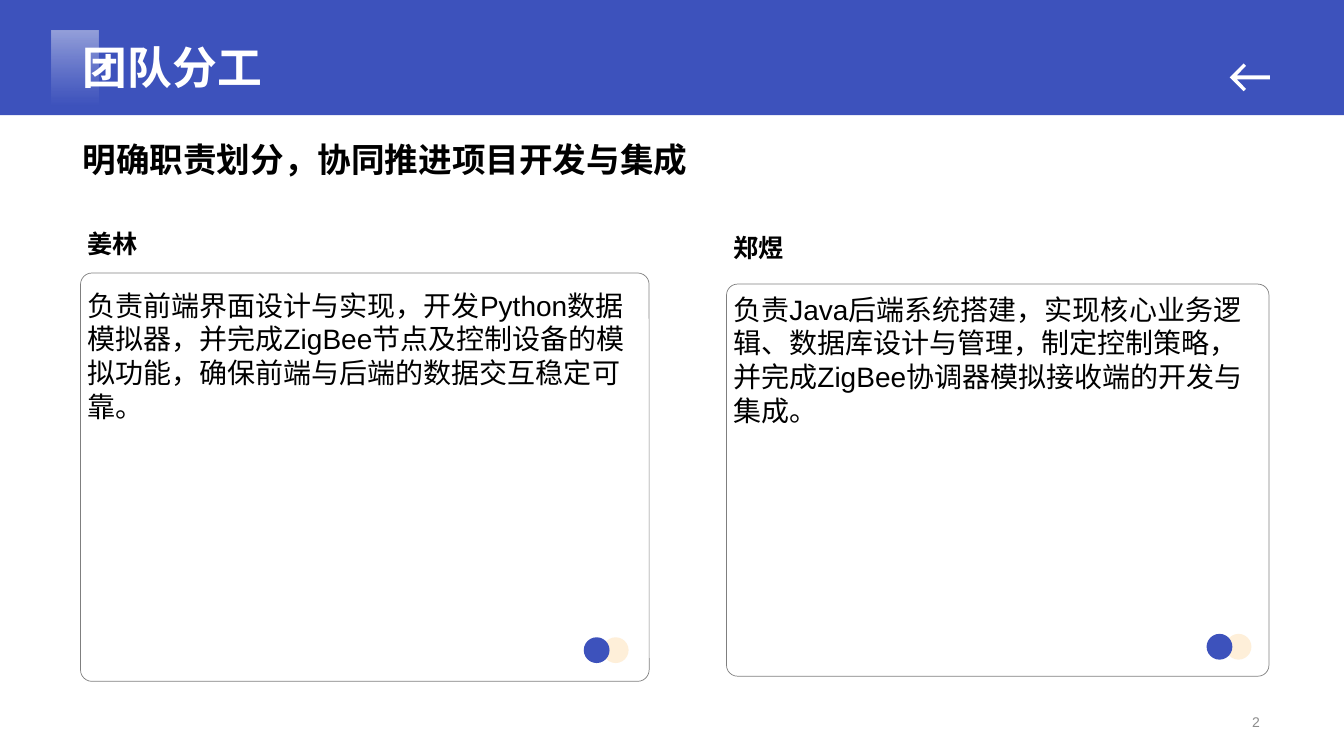
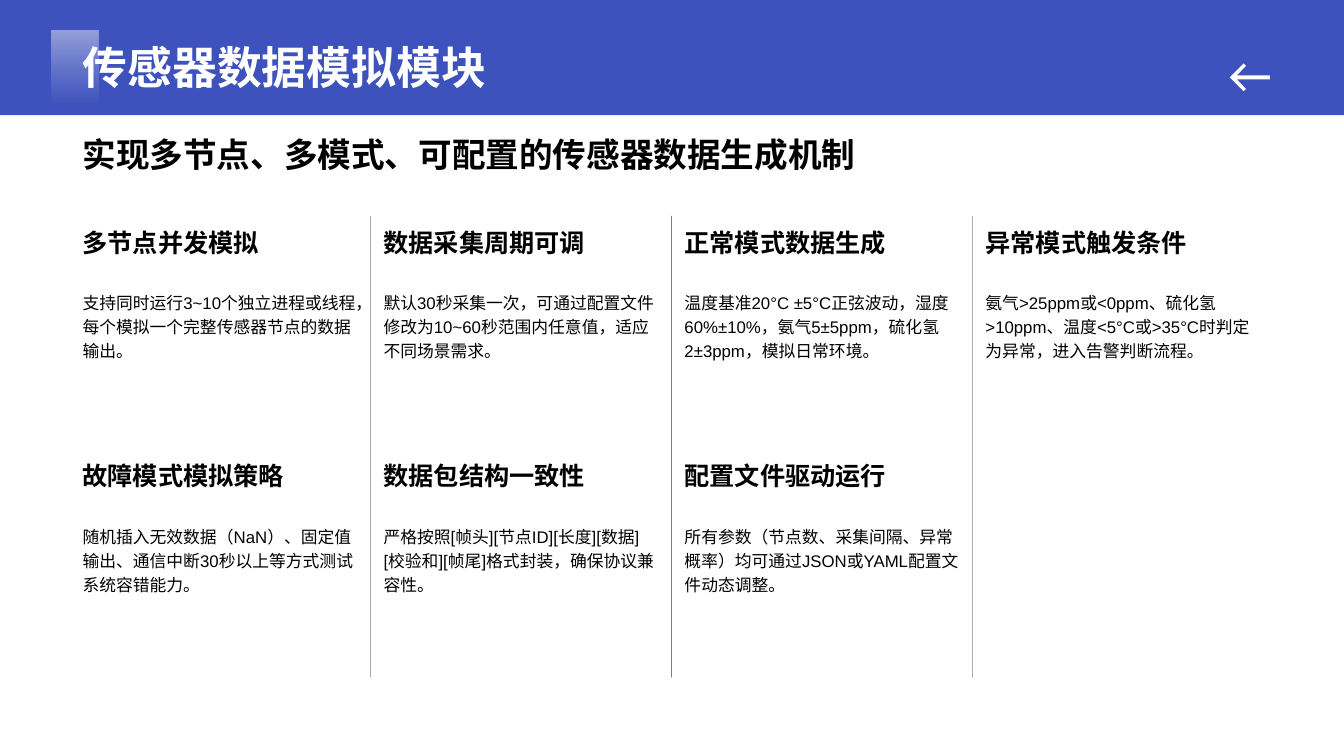
from lxml import etree
from pptx import Presentation
from pptx import util as u
from pptx.dml.color import RGBColor
from pptx.enum import shapes, text
from pptx.oxml import ns

BLUE, ORANGE, BLACK, WHITE, GREY = "3D52BC", "FC9702", "000000", "FFFFFF", "8C8C8C"
FONT = "Arial"
WIDE, HIGH = 33.87, 19.05
LEFT, FULL = 1.83, 30.18
KIND = shapes.MSO_SHAPE
MID, END, TOP = text.MSO_ANCHOR.MIDDLE, text.MSO_ANCHOR.BOTTOM, text.MSO_ANCHOR.TOP

TEAM = [
    # box (left, top, width, height), top of the name, name, duty
    ((2.03, 6.88, 14.33, 10.29), 5.64, "姜林",
     "负责前端界面设计与实现，开发Python数据模拟器，并完成ZigBee节点及控制设备的模拟功能，确保前端与后端的数据交互稳定可靠。"),
    ((18.31, 7.16, 13.67, 9.88), 5.74, "郑煜",
     "负责Java后端系统搭建，实现核心业务逻辑、数据库设计与管理，制定控制策略，并完成ZigBee协调器模拟接收端的开发与集成。"),
]
TOPICS = [
    ("多节点并发模拟", "支持同时运行3~10个独立进程或线程，每个模拟一个完整传感器节点的数据输出。"),
    ("数据采集周期可调", "默认30秒采集一次，可通过配置文件修改为10~60秒范围内任意值，适应不同场景需求。"),
    ("正常模式数据生成", "温度基准20°C ±5°C正弦波动，湿度60%±10%，氨气5±5ppm，硫化氢2±3ppm，模拟日常环境。"),
    ("异常模式触发条件", "氨气>25ppm或<0ppm、硫化氢>10ppm、温度<5°C或>35°C时判定为异常，进入告警判断流程。"),
    ("故障模式模拟策略", "随机插入无效数据（NaN）、固定值输出、通信中断30秒以上等方式测试系统容错能力。"),
    ("数据包结构一致性", "严格按照[帧头][节点ID][长度][数据][校验和][帧尾]格式封装，确保协议兼容性。"),
    ("配置文件驱动运行", "所有参数（节点数、采集间隔、异常概率）均可通过JSON或YAML配置文件动态调整。"),
]


def rgb(code):
    return RGBColor.from_string(code)


def cm(box):
    return [u.Cm(n) for n in box]


def fade(shape, *parts):
    """Give the shape's colours, in order, these opacities in percent."""
    for clr, part in zip(shape._element.spPr.xpath(".//a:srgbClr"), parts):
        etree.SubElement(clr, ns.qn("a:alpha"), val=str(part * 1000))


def fill_plain(shape, color):
    shape.shadow.inherit = False
    shape.line.fill.background()
    shape.fill.solid()
    shape.fill.fore_color.rgb = rgb(color)
    return shape


def add_plain(slide, kind, box, color):
    return fill_plain(slide.shapes.add_shape(kind, *cm(box)), color)


def thin_line(shape):
    shape.line.color.rgb = rgb(BLACK)
    shape.line.width = u.Pt(0.5)
    fade(shape, 50)


def write(shape, words, size, color=BLACK, bold=False, anchor=TOP,
          align=text.PP_ALIGN.LEFT, space=1.0):
    frame = shape.text_frame
    frame.text = words
    frame.word_wrap = True
    frame.auto_size = text.MSO_AUTO_SIZE.NONE
    frame.vertical_anchor = anchor
    para = frame.paragraphs[0]
    para.alignment = align
    para.line_spacing = space
    for run in para.runs:
        font = run.font
        font.name, font.size, font.bold = FONT, u.Pt(size), bold
        font.color.rgb = rgb(color)
        etree.SubElement(run._r.get_or_add_rPr(), ns.qn("a:ea"), typeface=FONT)
    return para


def add_text(slide, box, words, size, **style):
    return write(slide.shapes.add_textbox(*cm(box)), words, size, **style)


def add_band(slide):
    """Blue band with its fading block and back arrow."""
    band = add_plain(slide, KIND.RECTANGLE, (0, 0, WIDE, 2.9), BLUE)
    block = add_plain(slide, KIND.RECTANGLE, (1.3, 0.76, 1.19, 2.11), WHITE)
    block.fill.gradient()
    block.fill.gradient_angle = 270
    for stop, place, color in zip(block.fill.gradient_stops, (0, 0.9), (WHITE, "D8DCF2")):
        stop.position = place
        stop.color.rgb = rgb(color)
    fade(block, 45, 0)
    # Upper half of the arrow from its tip, mirrored about the shaft
    tip, axis = 30.99, 1.95
    half = [(0.35, 0.35), (0.41, 0.29), (0.18, 0.05), (1.01, 0.05)]
    edge = [(x, -y) for x, y in half] + half[::-1]
    pen = slide.shapes.build_freeform(u.Cm(tip), u.Cm(axis))
    pen.add_line_segments([cm((tip + x, axis + y)) for x, y in edge], close=True)
    arrow = fill_plain(pen.convert_to_shape(), WHITE)
    return band, block, arrow


def share_band(slide):
    """Move the band to the layout, so that every slide shows it."""
    tree = slide.slide_layout.shapes.element
    for num, part in enumerate(add_band(slide), 50):
        part._element.nvSpPr.cNvPr.set("id", str(num))
        tree.append(part._element)


def start_slide(deck, title, lead, depth):
    slide = deck.slides.add_slide(deck.slide_layouts[5])
    head = slide.shapes.title
    head.left, head.top, head.width, head.height = cm((LEFT, 0.79, 29, 1.7))
    write(head, title, 32, color=WHITE, bold=True, anchor=END)
    add_text(slide, (LEFT, 3.15, FULL, depth), lead, 24, bold=True, anchor=MID)
    return slide


def add_card(slide, box, top, name, duty):
    left, _, wide, high = box
    room = left - 0.08, wide - 0.1
    add_text(slide, (room[0], top + 1.5, room[1], 8.2), duty, 20)
    add_text(slide, (room[0], top, room[1], 1.5), name, 18, bold=True)
    frame = slide.shapes.add_shape(KIND.ROUNDED_RECTANGLE, *cm(box))
    frame.shadow.inherit = False
    frame.adjustments[0] = 0.028
    frame.fill.background()
    thin_line(frame)
    # Pair of dots near the lower right corner
    x, y = left + wide * 0.885, box[1] + high * 0.892
    fade(add_plain(slide, KIND.OVAL, (x + 0.48, y, 0.65, 0.65), ORANGE), 15)
    add_plain(slide, KIND.OVAL, (x, y, 0.65, 0.65), BLUE)


def add_page(slide, number):
    """Slide number as a live field."""
    para = add_text(slide, (21.84, 17.81, 10.16, 0.76), str(number), 10,
                    color=GREY, anchor=MID, align=text.PP_ALIGN.RIGHT)
    field = para.runs[0]._r
    field.tag = ns.qn("a:fld")
    field.set("id", "{B6F15528-21DE-4FAA-801E-634DDDAF4B2B}")
    field.set("type", "slidenum")


def add_grid(slide, box, topics, cols=4, rows=2, gap=0.16):
    left, top, wide, high = box
    step, drop = (wide + gap) / cols, (high + gap) / rows
    for num, (head, body) in enumerate(topics):
        row, col = divmod(num, cols)
        x, y = left + col * step, top + row * drop
        add_text(slide, (x, y, step - gap, 1.7), head, 18, bold=True, space=1.2)
        add_text(slide, (x, y + 1.7, step - gap, 4.01), body, 12, space=1.2)
    # Rules in the middle of the gaps
    for col in range(1, cols):
        x = left + col * step - gap / 2
        rule = slide.shapes.add_connector(
            shapes.MSO_CONNECTOR.STRAIGHT, *cm((x, top, x, top + high)))
        thin_line(rule)
        etree.SubElement(rule._element.spPr, ns.qn("a:effectLst"))


def main():
    deck = Presentation()
    deck.slide_width, deck.slide_height = cm((WIDE, HIGH))
    first = 2
    deck.element.set("firstSlideNum", str(first))

    team = start_slide(deck, "团队分工", "明确职责划分，协同推进项目开发与集成", 1.7)
    share_band(team)
    for member in TEAM:
        add_card(team, *member)
    add_page(team, first)

    module = start_slide(deck, "传感器数据模拟模块",
                         "实现多节点、多模式、可配置的传感器数据生成机制", 1.47)
    add_grid(module, (LEFT, 5.44, FULL, 11.63), TOPICS)
    deck.save("out.pptx")


if __name__ == "__main__":
    main()
